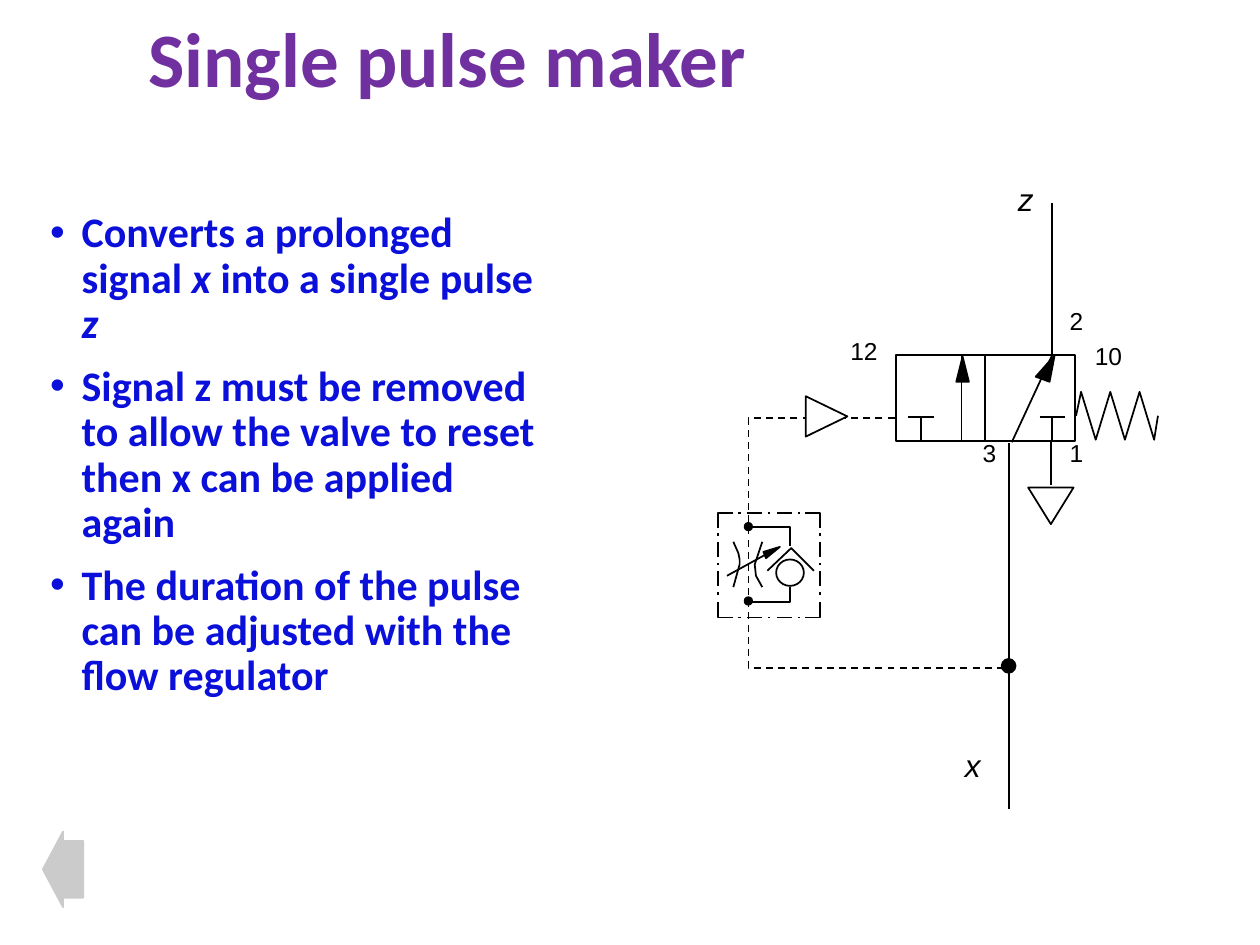
import pptx
import pptx.dml.color
import pptx.enum.dml
import pptx.enum.shapes
import pptx.enum.text
import pptx.oxml
import pptx.oxml.ns
import pptx.util

SHAPES = pptx.enum.shapes.MSO_SHAPE
BLACK, WHITE, PURPLE, BLUE, GREY = "000000", "FFFFFF", "7030A0", "0A0FDA", "CBCBCB"

# All places are in inches from the top left corner of the slide.
TITLE = "Single pulse maker"
BULLETS = [  # each bullet is a list of (text, italic)
    [("Converts a prolonged signal ", False), ("x", True),
     (" into a single pulse ", False), ("z", True)],
    [("Signal z must be removed to allow the valve to reset then x can be applied again", False)],
    [("The duration of the pulse can be adjusted with the flow regulator", False)],
]
PORT_LABELS = [  # text, left, top, width
    ("1", 8.39, 3.43, 0.31), ("2", 8.39, 2.38, 0.31), ("3", 7.7, 3.43, 0.31),
    ("12", 6.65, 2.62, 0.42), ("10", 8.59, 2.66, 0.42),
]
SIGNAL_LABELS = [("x", 7.56, 5.87, 0.33), ("z", 7.98, 1.38, 0.33)]

VALVE = (7.11, 2.82, 1.42, 0.68)
BLOCKED_PORTS = [7.31, 8.35]
STRAIGHT_LINES = [
    (8.35, 2.82, 8.03, 3.51),  # flow path, right position
    (7.63, 3.51, 7.63, 2.82),  # flow path, left position
    (8.35, 1.61, 8.35, 2.82),  # output z
    (8.34, 3.5, 8.34, 3.85),   # exhaust
    (8.01, 3.52, 8.01, 6.42),  # input x
    (5.77, 4.57, 6.17, 4.35),  # adjustable restrictor
]
ARROWHEADS = [
    [(7.64, 2.83), (7.59, 3.03), (7.69, 3.03)],
    [(8.37, 2.82), (8.33, 3.03), (8.22, 2.99)],
    [(6.19, 4.34), (6.06, 4.38), (6.08, 4.43)],
]
OPEN_PATHS = [
    [(6.27, 4.33), (6.27, 4.18), (5.93, 4.18)],                # bypass, top
    [(6.27, 4.66), (6.27, 4.78), (5.93, 4.78)],                # bypass, bottom
    [(6.05, 4.3), (5.99, 4.48), (6, 4.57), (6.05, 4.66)],      # restrictor, right
    [(5.82, 4.66), (5.87, 4.48), (5.87, 4.44), (5.86, 4.39), (5.82, 4.3)],
    [(6.09, 4.53), (6.28, 4.35), (6.46, 4.53)],                # check valve seat
]
PILOT_LINE = [(7.1, 3.32), (5.94, 3.32), (5.94, 5.3), (8.01, 5.3)]
JUNCTIONS = [(5.91, 4.15, 0.06), (5.91, 4.74, 0.06), (7.95, 5.23, 0.11)]
FRAME = (5.7, 4.07, 6.51, 4.9)  # left, top, right, bottom
SPRING = {"left": 8.54, "middle": 3.3, "top": 3.11, "bottom": 3.49, "step": 0.116, "peaks": 6}

deck = pptx.Presentation()


def length(inches):
    return pptx.util.Cm(inches * 2.54)


deck.slide_width, deck.slide_height = length(10), length(7.5)
page = deck.slides.add_slide(deck.slide_layouts[6])


def color(value):
    return pptx.dml.color.RGBColor.from_string(value)


def paint(shape, fill=None, line=BLACK):
    shape.shadow.inherit = False
    if fill:
        shape.fill.solid()
        shape.fill.fore_color.rgb = color(fill)
    else:
        shape.fill.background()
    shape.line.color.rgb = color(line)
    shape.line.width = pptx.util.Pt(1)
    return shape


def add_preset(kind, place, fill=None, line=BLACK):
    return paint(page.shapes.add_shape(kind, *map(length, place)), fill, line)


def add_path(points, fill=None, closed=False):
    (x, y), *rest = [(length(x), length(y)) for x, y in points]
    builder = page.shapes.build_freeform(x, y)
    builder.add_line_segments(rest, close=closed)
    return paint(builder.convert_to_shape(), fill)


def add_line(*ends):
    line = page.shapes.add_connector(pptx.enum.shapes.MSO_CONNECTOR.STRAIGHT, *map(length, ends))
    line.line.color.rgb = color(BLACK)
    line.line.width = pptx.util.Pt(1)
    line._element.spPr.append(pptx.oxml.parse_xml(
        "<a:effectLst %s/>" % pptx.oxml.ns.nsdecls("a")))
    return line


def add_text_box(place, wrap=True):
    box = page.shapes.add_textbox(*map(length, place))
    box.text_frame.word_wrap = wrap
    return box.text_frame


def style(font, name, size, value, bold=False, italic=False):
    font.name, font.size = name, pptx.util.Pt(size)
    font.color.rgb = color(value)
    font.bold, font.italic = bold, italic


def add_labels(labels, size, height, italic=False):
    for text, left, top, width in labels:
        frame = add_text_box((left, top, width, height), wrap=False)
        frame.text = text
        style(frame.paragraphs[0].runs[0].font, "Arial", size, BLACK, italic=italic)


def add_bullet(para):
    properties = para._p.get_or_add_pPr()
    properties.set("marL", str(length(0.25)))
    properties.set("indent", str(-length(0.25)))
    for xml in ('<a:buClr %s><a:srgbClr val="' + BLUE + '"/></a:buClr>',
                '<a:buFont %s typeface="Arial"/>',
                '<a:buChar %s char="•"/>'):
        properties.append(pptx.oxml.parse_xml(xml % pptx.oxml.ns.nsdecls("a")))


def add_dash_dot_frame(left, top, right, bottom):
    """Solid corners with two dashes and three dots along each side."""
    corner, period = 0.12, 0.235
    for x, inward_x in ((left, corner), (right, -corner)):
        for y, inward_y in ((top, corner), (bottom, -corner)):
            add_path([(x + inward_x, y), (x, y), (x, y + inward_y)])
    marks = [(0.16 + period * i, 0.02) for i in range(3)]
    marks += [(0.23 + period * i, 0.12) for i in range(2)]
    for offset, size in marks:
        for y in (top, bottom):
            add_line(left + offset, y, left + offset + size, y)
        for x in (left, right):
            add_line(x, top + offset, x, top + offset + size)


# Title and bullets
heading = add_text_box((1.08, 0.09, 7.47, 0.81))
heading.vertical_anchor = pptx.enum.text.MSO_ANCHOR.MIDDLE
heading.text = TITLE
heading.paragraphs[0].line_spacing = 0.9
style(heading.paragraphs[0].runs[0].font, "Calibri", 44, PURPLE, bold=True)

body = add_text_box((0.3, 1.63, 4.17, 4.92))
for index, spans in enumerate(BULLETS):
    para = body.add_paragraph() if index else body.paragraphs[0]
    add_bullet(para)
    para.line_spacing = 0.9
    if index:
        para.space_before = pptx.util.Pt(10)
    for text, italic in spans:
        span = para.add_run()
        span.text = text
        style(span.font, "Calibri", 24, BLUE, bold=True, italic=italic)

# Valve with its ports and spring
valve = add_preset(SHAPES.RECTANGLE, VALVE)
divider = add_line(7.82, 2.82, 7.82, 3.5)
divider.begin_connect(valve, 0)
divider.end_connect(valve, 2)
for x in BLOCKED_PORTS:
    add_line(x, 3.31, x, 3.51)
    add_line(x - 0.1, 3.31, x + 0.1, 3.31)
exhaust = add_preset(SHAPES.ISOSCELES_TRIANGLE, (8.16, 3.87, 0.36, 0.29))
exhaust.rotation = 180
zigzag = [(SPRING["left"] + 0.04 + SPRING["step"] * i, SPRING["bottom" if i % 2 else "top"])
          for i in range(SPRING["peaks"])]
add_path([(SPRING["left"], SPRING["middle"]), *zigzag, (9.16, 3.49), (9.19, SPRING["middle"])])

# Flow regulator and pilot line
add_dash_dot_frame(*FRAME)
for points in OPEN_PATHS:
    add_path(points)
add_preset(SHAPES.OVAL, (6.16, 4.44, 0.22, 0.21))
pilot = add_path(PILOT_LINE)
pilot.line.dash_style = pptx.enum.dml.MSO_LINE.DASH
pilot_port = add_preset(SHAPES.ISOSCELES_TRIANGLE, (6.4, 3.14, 0.32, 0.33), WHITE)
pilot_port.rotation = 90

for ends in STRAIGHT_LINES:
    add_line(*ends)
for points in ARROWHEADS:
    add_path(points, BLACK, closed=True)
for left, top, size in JUNCTIONS:
    add_preset(SHAPES.OVAL, (left, top, size, size), BLACK)
add_labels(PORT_LABELS, 14, 0.33)
add_labels(SIGNAL_LABELS, 18, 0.4, italic=True)

back = add_preset(SHAPES.LEFT_ARROW, (0.34, 6.6, 0.32, 0.6), GREY, GREY)
back.adjustments[0] = 0.75
back.adjustments[1] = 0.5

deck.save("out.pptx")
